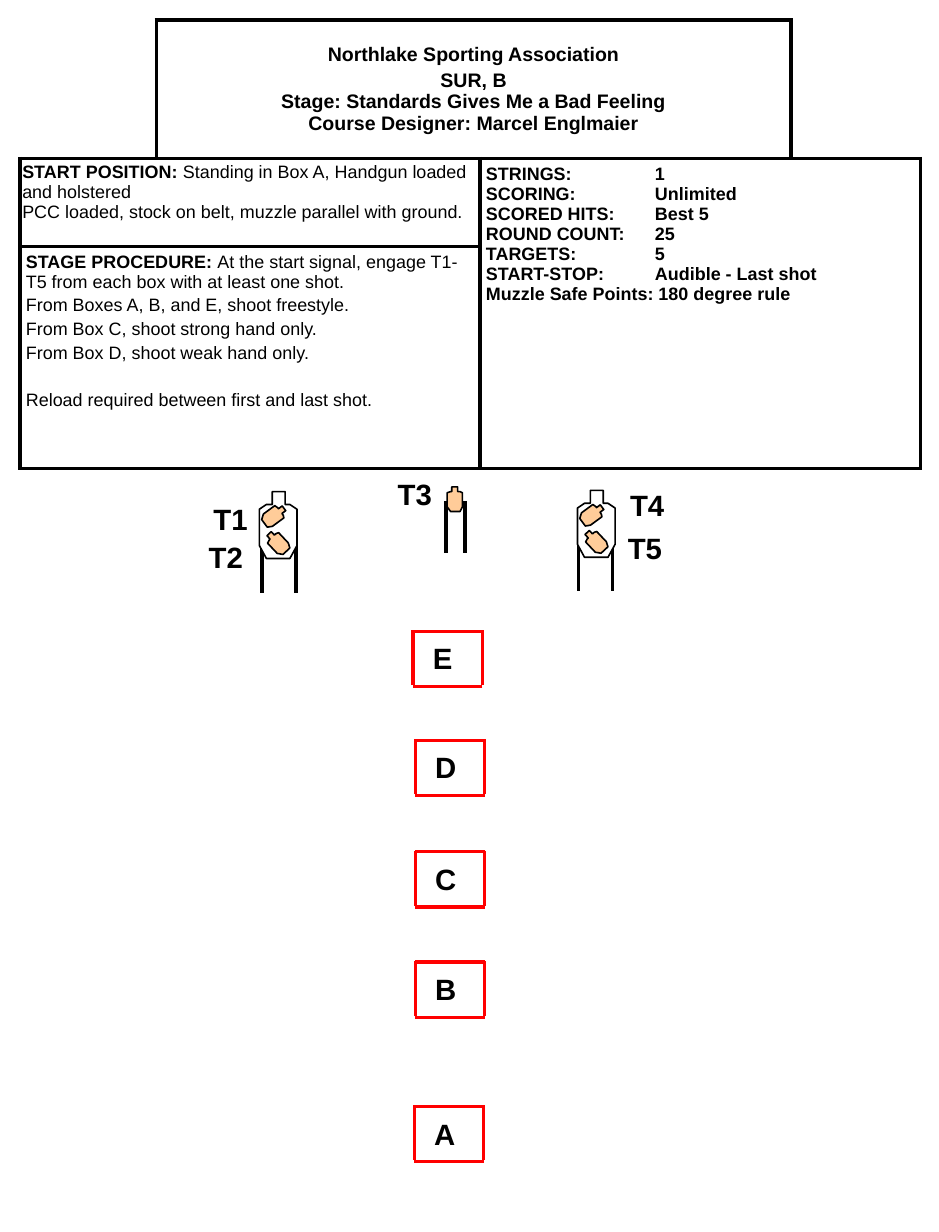
import pptx
import pptx.util
import pptx.dml.color
import pptx.enum.shapes
import pptx.enum.text
from lxml import etree
from pptx.util import Inches, Pt

COLORS = {"ink": "000000", "paper": "FFFFFF", "box": "FF0000", "steel": "FFCC99"}
LABEL_FORMAT = {"name": "Arial", "size": Pt(18), "bold": True}
A_NS = "http://schemas.openxmlformats.org/drawingml/2006/main"

deck = pptx.Presentation()
deck.slide_width, deck.slide_height = Inches(8), Inches(10.5)
slide = deck.slides.add_slide(deck.slide_layouts[6])
rgb = {part: pptx.dml.color.RGBColor.from_string(code) for part, code in COLORS.items()}


def add_text(paragraph, text, text_format):
    run = paragraph.add_run()
    run.text = text
    for attribute, value in text_format.items():
        setattr(run.font, attribute, value)
    run.font.color.rgb = rgb["ink"]


def add_line(x1, y1, x2, y2, color, width):
    line = slide.shapes.add_connector(
        pptx.enum.shapes.MSO_CONNECTOR.STRAIGHT,
        Inches(x1), Inches(y1), Inches(x2), Inches(y2))
    line.line.color.rgb = rgb[color]
    line.line.width = Pt(width)
    etree.SubElement(line._element.spPr, f"{{{A_NS}}}effectLst")


# Stage briefing table
briefing = slide.shapes.add_table(
    3, 4, Inches(0.17), Inches(0.17), Inches(7.67), Inches(3.82)).table
briefing.first_row = briefing.horz_banding = False
for column, width in zip(briefing.columns, (1.16, 2.76, 2.65, 1.1)):
    column.width = Inches(width)
for row, height in zip(briefing.rows, (1.18, 0.75, 1.89)):
    row.height = Inches(height)

# Borders: the empty top corners are open on the outside
for r in range(3):
    for c in range(4):
        cell = briefing.cell(r, c)
        sides = {(0, 0): "RB", (0, 3): "LB"}.get((r, c), "LRTB")
        for side in sides:
            border = etree.SubElement(cell._tc.get_or_add_tcPr(), f"{{{A_NS}}}ln{side}",
                                      w=str(Pt(2.25)))
            border_fill = etree.SubElement(border, f"{{{A_NS}}}solidFill")
            etree.SubElement(border_fill, f"{{{A_NS}}}srgbClr", val=COLORS["ink"])
        cell.fill.solid()
        cell.fill.fore_color.rgb = rgb["paper"]

# Cell contents: first cell, last cell, size, side inset, top inset,
# then paragraphs as (space before, bold text, regular text)
sections = [
    ((0, 1), (0, 2), 12, 0.05, 0.05, [
        (0, "Northlake Sporting Association", ""),
        (2.4, "SUR, B\vStage: Standards Gives Me a Bad Feeling\v"
              "Course Designer: Marcel Englmaier", "")]),
    ((1, 0), (1, 1), 11, 0.02, 0.03, [
        (0, "START POSITION: ", "Standing in Box A, Handgun loaded and holstered"),
        (0.5, "", "PCC loaded, stock on belt, muzzle parallel with ground.")]),
    ((1, 2), (2, 3), 11, 0.05, 0.05, [
        (0, "STRINGS:\t1", ""),
        (0, "SCORING:\tUnlimited", ""),
        (0, "SCORED HITS:\tBest 5", ""),
        (0, "ROUND COUNT:\t25", ""),
        (0, "TARGETS:\t5", ""),
        (0, "START-STOP:\tAudible - Last shot", ""),
        (0, "Muzzle Safe Points: 180 degree rule", "")]),
    ((2, 0), (2, 1), 11, 0.05, 0.05, [
        (0, "STAGE PROCEDURE: ",
         "At the start signal, engage T1-T5 from each box with at least one shot."),
        (2.2, "", "From Boxes A, B, and E, shoot freestyle."),
        (2.2, "", "From Box C, shoot strong hand only."),
        (2.2, "", "From Box D, shoot weak hand only."),
        (17, "", "Reload required between first and last shot.")]),
]
for first, last, size, side_inset, top_inset, paragraphs in sections:
    section = briefing.cell(*first)
    section.merge(briefing.cell(*last))
    section.margin_left = section.margin_right = Inches(side_inset)
    section.margin_top = section.margin_bottom = Inches(top_inset)
    is_header = first[0] == 0
    if is_header:
        section.vertical_anchor = pptx.enum.text.MSO_ANCHOR.MIDDLE
    for i, (space, bold_text, regular_text) in enumerate(paragraphs):
        frame = section.text_frame
        paragraph = frame.add_paragraph() if i else frame.paragraphs[0]
        if is_header:
            paragraph.alignment = pptx.enum.text.PP_ALIGN.CENTER
        if space:
            paragraph.space_before = Pt(space)
        if "\t" in bold_text:
            tabs = etree.SubElement(paragraph._p.get_or_add_pPr(), f"{{{A_NS}}}tabLst")
            etree.SubElement(tabs, f"{{{A_NS}}}tab", pos=str(Inches(1.44)), algn="l")
        for text, bold in ((bold_text, True), (regular_text, False)):
            for n, part in enumerate(text.split("\v") if text else []):
                if n:
                    paragraph.add_line_break()
                add_text(paragraph, part, {"name": "Arial", "size": Pt(size), "bold": bold})

# Shooting boxes
labels = []
for letter, left, top in (("B", 3.54, 8.2), ("A", 3.53, 9.43), ("E", 3.52, 5.38),
                          ("D", 3.54, 6.31), ("C", 3.54, 7.26)):
    right = left + 0.59
    for y in (top, top + 0.47):
        add_line(right, y, left, y, "box", 2)
    for x in (right, left):
        add_line(x, top - 0.01, x, top + 0.46, "box", 2)
    labels.append((letter, left + 0.07, top + 0.03, 0.37))

# Target outlines, in hundredths of an inch
silhouette = [(11, 0), (22, 0), (22, 11), (26, 11), (32, 15), (32, 46),
              (26, 57), (6, 57), (0, 46), (0, 15), (6, 11), (11, 11)]
popper = [(4, 0), (9, 0), (9, 4), (11, 4), (13, 5), (13, 17),
          (11, 21), (3, 21), (0, 17), (0, 5), (3, 4), (4, 4)]

# Target stands: left, top, post offsets, post top, plates (outline, dx, dy, angle, fill)
double_plates = [(silhouette, 0, 0, 0, "paper"),
                 (popper, 0.06, 0.1, 53.6, "steel"),
                 (popper, 0.09, 0.33, 316.7, "steel")]
stands = [(2.21, 4.19, (0.02, 0.31), 0.42, double_plates),
          (3.81, 4.15, (-0.01, 0.15), 0.12, [(popper, 0, 0, 0, "steel")]),
          (4.92, 4.18, (0.01, 0.3), 0.42, double_plates)]
for left, top, posts, post_top, plates in stands:
    for dx in posts:
        add_line(left + dx, top + post_top, left + dx, top + post_top + 0.44, "ink", 2.25)
    for outline, dx, dy, angle, fill in plates:
        builder = slide.shapes.build_freeform(*outline[0], scale=Inches(0.01))
        builder.add_line_segments(outline[1:], close=True)
        plate = builder.convert_to_shape(Inches(left + dx), Inches(top + dy))
        plate.shadow.inherit = False
        plate.rotation = angle
        plate.fill.solid()
        plate.fill.fore_color.rgb = rgb[fill]
        plate.line.color.rgb = rgb["ink"]
        plate.line.width = Pt(1)

# Box letters and target numbers
labels += [("T1", 1.72, 4.22, 0.58), ("T2", 1.68, 4.55, 0.58), ("T3", 3.29, 4.01, 0.58),
           ("T4", 5.27, 4.1, 0.58), ("T5", 5.25, 4.47, 0.58)]
for text, left, top, width in labels:
    label = slide.shapes.add_textbox(Inches(left), Inches(top), Inches(width), Inches(0.4))
    label.text_frame.word_wrap = True
    add_text(label.text_frame.paragraphs[0], text, LABEL_FORMAT)

deck.save("out.pptx")
